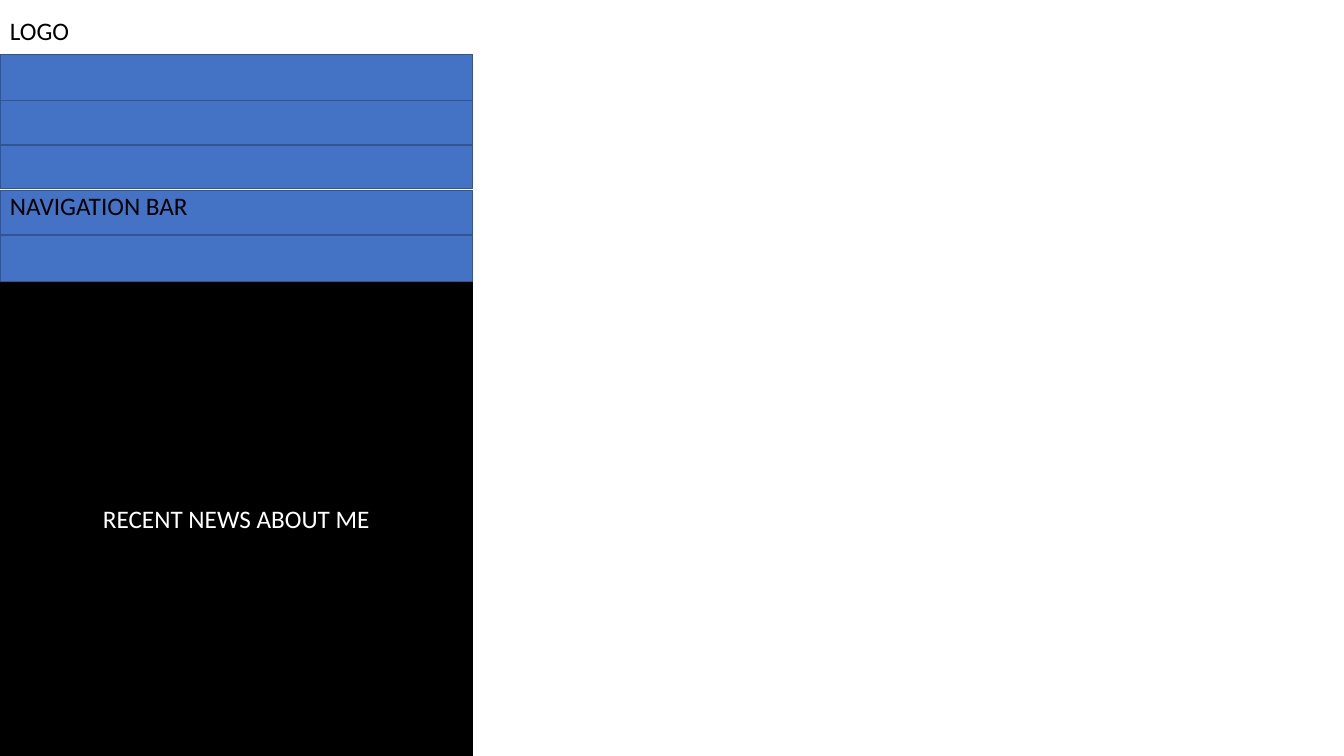
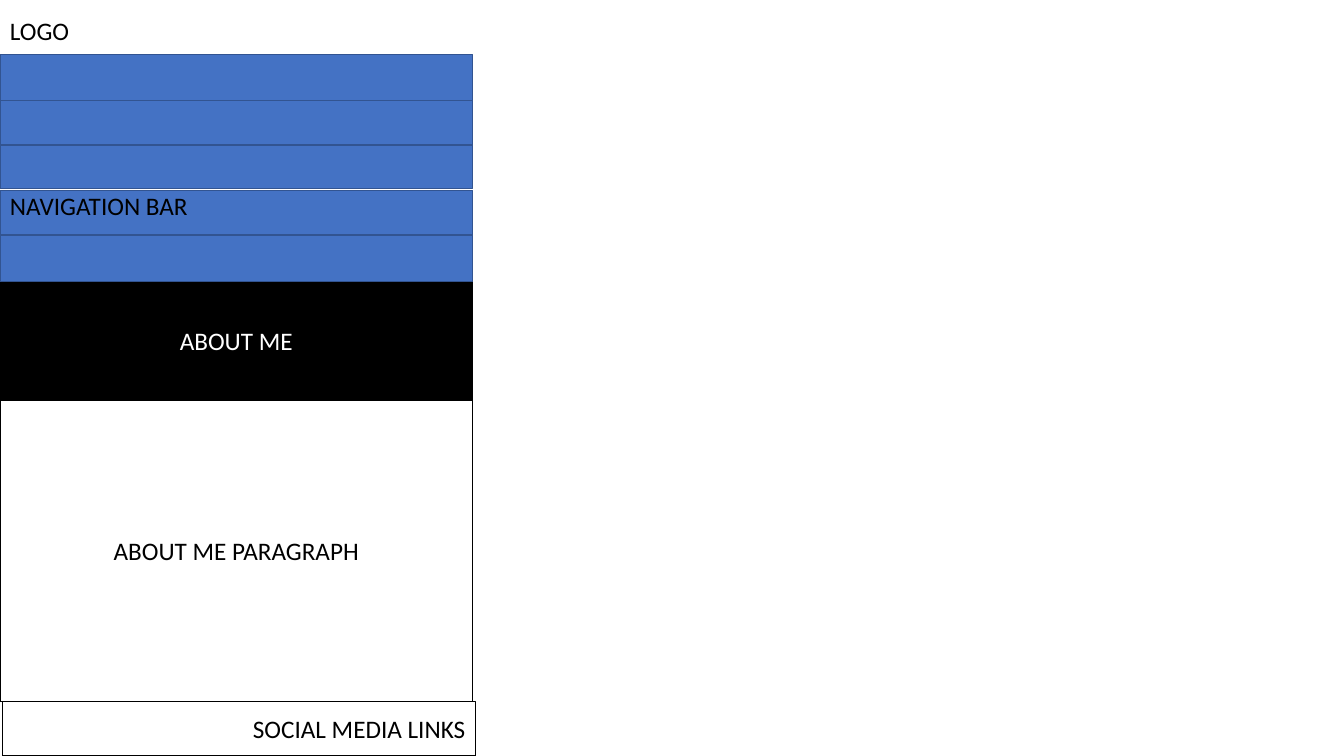
from dataclasses import dataclass

from pptx import Presentation
from pptx.dml.color import RGBColor
from pptx.enum.shapes import MSO_SHAPE
from pptx.enum.text import MSO_ANCHOR, PP_ALIGN
from pptx.util import Pt


@dataclass(frozen=True)
class Theme:
    """Colours, type and measures shared by the slides, lengths in points."""
    black: RGBColor = RGBColor(0x00, 0x00, 0x00)
    white: RGBColor = RGBColor(0xFF, 0xFF, 0xFF)
    bar: RGBColor = RGBColor(0x44, 0x72, 0xC4)
    bar_line: RGBColor = RGBColor(0x32, 0x54, 0x91)
    font: str = "Calibri"
    size: float = 18
    line: float = 1
    width: float = 960
    height: float = 540
    column: float = 337.6
    bar_height: float = 33.2
    body_top: float = 201


THEME = Theme()
LABELLED_BAR_TOP = 136
OTHER_BAR_TOPS = (167.8, 101.6, 70.5, 38.8)


def write(sp, text, color, align):
    """Put one vertically centred line of text in a shape."""
    tf = sp.text_frame
    tf.word_wrap = True
    tf.vertical_anchor = MSO_ANCHOR.MIDDLE
    p = tf.paragraphs[0]
    p.alignment = align
    r = p.add_run()
    r.text = text
    r.font.name = THEME.font
    r.font.size = Pt(THEME.size)
    r.font.color.rgb = color


def add_label(s, text, top, width, height):
    """Add a left-aligned text box at the left edge."""
    sp = s.shapes.add_textbox(Pt(0), Pt(top), Pt(width), Pt(height))
    write(sp, text, THEME.black, PP_ALIGN.LEFT)


def add_box(s, top, height, fill=None, line=THEME.black, left=0):
    """Add an outlined rectangle as wide as the column."""
    sp = s.shapes.add_shape(MSO_SHAPE.RECTANGLE, Pt(left), Pt(top),
                            Pt(THEME.column), Pt(height))
    sp.shadow.inherit = False
    if fill is None:
        sp.fill.background()
    else:
        sp.fill.solid()
        sp.fill.fore_color.rgb = fill
    sp.line.color.rgb = line
    sp.line.width = Pt(THEME.line)
    return sp


def add_bar(s, top):
    """Add one bar of the navigation menu."""
    add_box(s, top, THEME.bar_height, THEME.bar, THEME.bar_line)


def add_banner(s, text, height):
    """Add the black banner below the menu."""
    sp = add_box(s, THEME.body_top, height, THEME.black)
    write(sp, text, THEME.white, PP_ALIGN.CENTER)


def add_page(prs, banner, banner_height):
    """Add a slide with logo label, navigation menu and banner."""
    s = prs.slides.add_slide(prs.slide_layouts[6])
    add_bar(s, LABELLED_BAR_TOP)
    add_label(s, "NAVIGATION BAR", 92.2, THEME.column, 109.4)
    add_label(s, "LOGO", 0, 296.6, 43.2)
    add_banner(s, banner, banner_height)
    for top in OTHER_BAR_TOPS:
        add_bar(s, top)
    return s


def main():
    """Build both slides and save them."""
    prs = Presentation()
    prs.slide_width, prs.slide_height = Pt(THEME.width), Pt(THEME.height)

    add_page(prs, "RECENT NEWS ABOUT ME", THEME.height - THEME.body_top)

    paragraph_top, links_top = 285.8, 501.2
    s = add_page(prs, "ABOUT ME", paragraph_top - THEME.body_top)
    paragraph = add_box(s, paragraph_top, links_top - paragraph_top)
    write(paragraph, "ABOUT ME PARAGRAPH", THEME.black, PP_ALIGN.CENTER)
    links = add_box(s, links_top, THEME.height - links_top, left=2)
    write(links, "SOCIAL MEDIA LINKS", THEME.black, PP_ALIGN.RIGHT)

    prs.save("out.pptx")


main()
